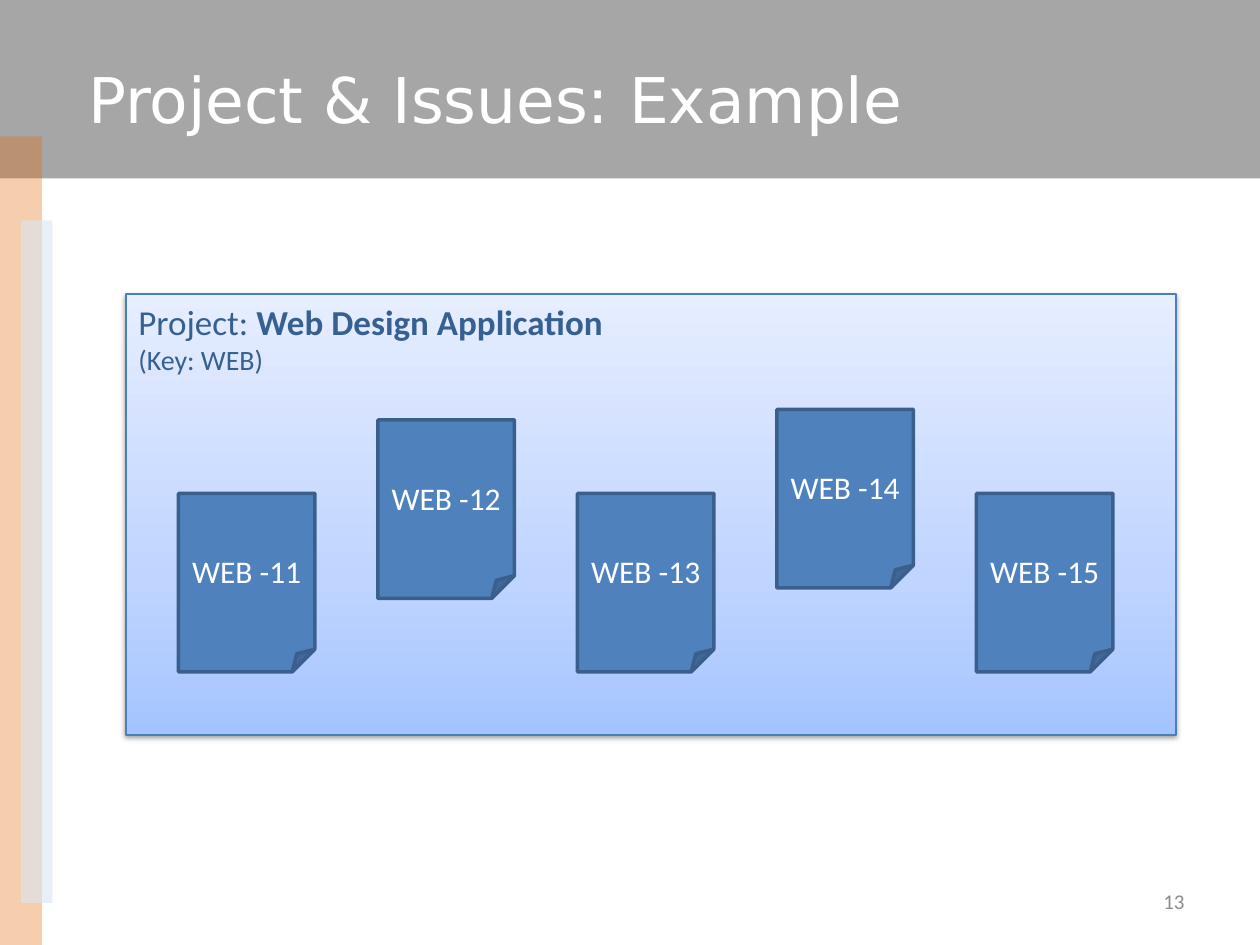
from lxml.etree import SubElement
from pptx import Presentation
from pptx.dml.color import RGBColor
from pptx.enum.shapes import MSO_SHAPE
from pptx.enum.text import MSO_ANCHOR, PP_ALIGN
from pptx.oxml import parse_xml
from pptx.oxml.ns import nsdecls, qn
from pptx.util import Pt

# Content
TITLE = "Project & Issues: Example"
HEAD = [
    [("Project: ", False, "head"), ("Web Design Application", True, "head")],
    [("(Key: WEB)", False, "key")],
]
CARDS = [  # issue, top
    ("WEB -11", 282),
    ("WEB -12", 240),
    ("WEB -13", 282),
    ("WEB -14", 234),
    ("WEB -15", 282),
]
NUMBER = "13"


class Theme:
    font, title_font = "Calibri", "DejaVu Sans"
    size = {"title": 36, "head": 20, "key": 16, "card": 18, "num": 12}
    white, gray, dim = "FFFFFF", "A6A6A6", "8C8C8C"
    orange, pale = "E46C0A", "DCE6F2"
    navy, edge = "376092", "4B7EBC"
    card, rim = "4F81BD", "3A5F8C"
    grad = [(0, "A4C4FF"), (35, "BFD4FF"), (100, "E6EEFF")]


# Left, top, width, height
BANDS = [  # box, colour, opacity in percent
    ((0, 0, 720, 102), Theme.gray, 100),
    ((0, 78, 24, 462), Theme.orange, 33),
    ((12, 126, 18, 390), Theme.pale, 61),
]
PANEL = (72, 168, 600, 252)
CARD_LEFT, CARD_STEP, CARD_W, CARD_H = 102, 114, 78, 102


def rgb(code):
    return RGBColor.from_string(code)


def pts(box):
    return [Pt(n) for n in box]


def add_box(slide, kind, box, fill=None, line=None, width=1):
    shape = slide.shapes.add_shape(kind, *pts(box))
    shape.shadow.inherit = False
    if fill:
        shape.fill.solid()
        shape.fill.fore_color.rgb = rgb(fill)
    if line:
        shape.line.color.rgb = rgb(line)
        shape.line.width = Pt(width)
    else:
        shape.line.fill.background()
    return shape


def write(shape, lines, color, font=Theme.font, align=PP_ALIGN.LEFT,
          anchor=MSO_ANCHOR.MIDDLE, side=7.2):
    """Each line is a list of (text, bold, size name)."""
    frame = shape.text_frame
    frame.word_wrap = True
    frame.vertical_anchor = anchor
    frame.margin_left = frame.margin_right = Pt(side)
    for i, line in enumerate(lines):
        para = frame.add_paragraph() if i else frame.paragraphs[0]
        para.alignment = align
        for text, bold, size in line:
            run = para.add_run()
            run.text = text
            run.font.name = font
            run.font.size = Pt(Theme.size[size])
            run.font.bold = bold
            run.font.color.rgb = rgb(color)


def shade(shape):
    """Three-stop gradient from the bottom up, and a soft drop shadow."""
    shape.fill.gradient()
    shape.fill.gradient_angle = 90
    props = shape.element.spPr
    stops = props.find(qn("a:gradFill")).find(qn("a:gsLst"))
    for old in list(stops):
        stops.remove(old)
    for pos, color in Theme.grad:
        stop = SubElement(stops, qn("a:gs"), pos=str(pos * 1000))
        SubElement(stop, qn("a:srgbClr"), val=color)
    props.find(qn("a:effectLst")).append(parse_xml(
        f'<a:outerShdw {nsdecls("a")} blurRad="{Pt(3.1)}" dist="{Pt(1.6)}" '
        'dir="5400000" rotWithShape="0"><a:srgbClr val="000000">'
        '<a:alpha val="38000"/></a:srgbClr></a:outerShdw>'))


def main():
    deck = Presentation()
    deck.slide_width, deck.slide_height = Pt(720), Pt(540)
    slide = deck.slides.add_slide(deck.slide_layouts[5])
    title = slide.shapes.title

    # Bands behind the title
    for box, color, alpha in BANDS:
        band = add_box(slide, MSO_SHAPE.RECTANGLE, box, color)
        if alpha < 100:
            tint = band.element.spPr.find(qn("a:solidFill"))[0]
            SubElement(tint, qn("a:alpha"), val=str(alpha * 1000))
        title.element.addprevious(band.element)

    # Title
    title.left, title.top, title.width, title.height = pts((43.2, 28, 648, 56))
    write(title, [[(TITLE, False, "title")]], Theme.white, Theme.title_font)

    # Slide number
    num = slide.shapes.add_textbox(*pts((516, 500.5, 168, 28.75)))
    write(num, [[(NUMBER, False, "num")]], Theme.dim, align=PP_ALIGN.RIGHT)

    # Project panel
    panel = add_box(slide, MSO_SHAPE.RECTANGLE, PANEL,
                    line=Theme.edge, width=0.75)
    shade(panel)
    write(panel, HEAD, Theme.navy, anchor=MSO_ANCHOR.TOP)

    # Issue cards
    for i, (name, top) in enumerate(CARDS):
        box = (CARD_LEFT + i * CARD_STEP, top, CARD_W, CARD_H)
        card = add_box(slide, MSO_SHAPE.FOLDED_CORNER, box,
                       Theme.card, Theme.rim, 2)
        write(card, [[(name, False, "card")]], Theme.white,
              align=PP_ALIGN.CENTER, side=3.6)

    deck.save("out.pptx")


if __name__ == "__main__":
    main()
